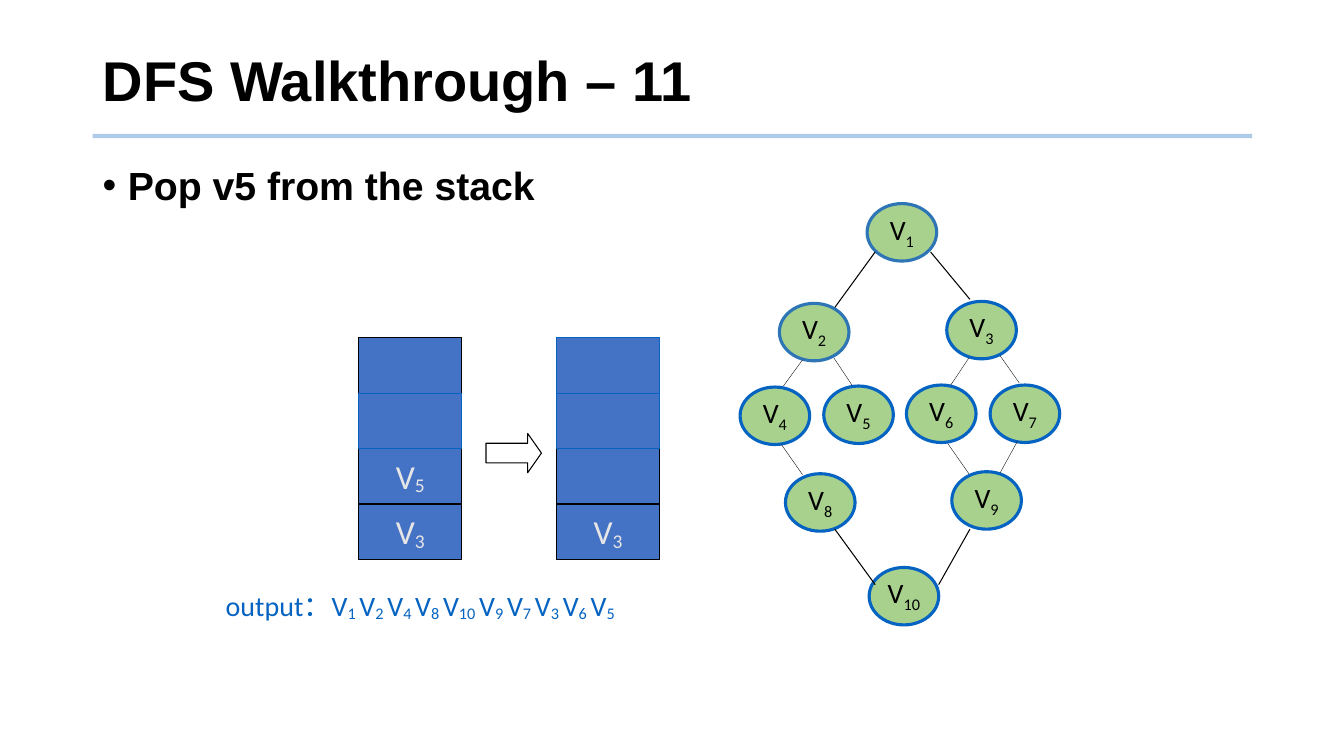
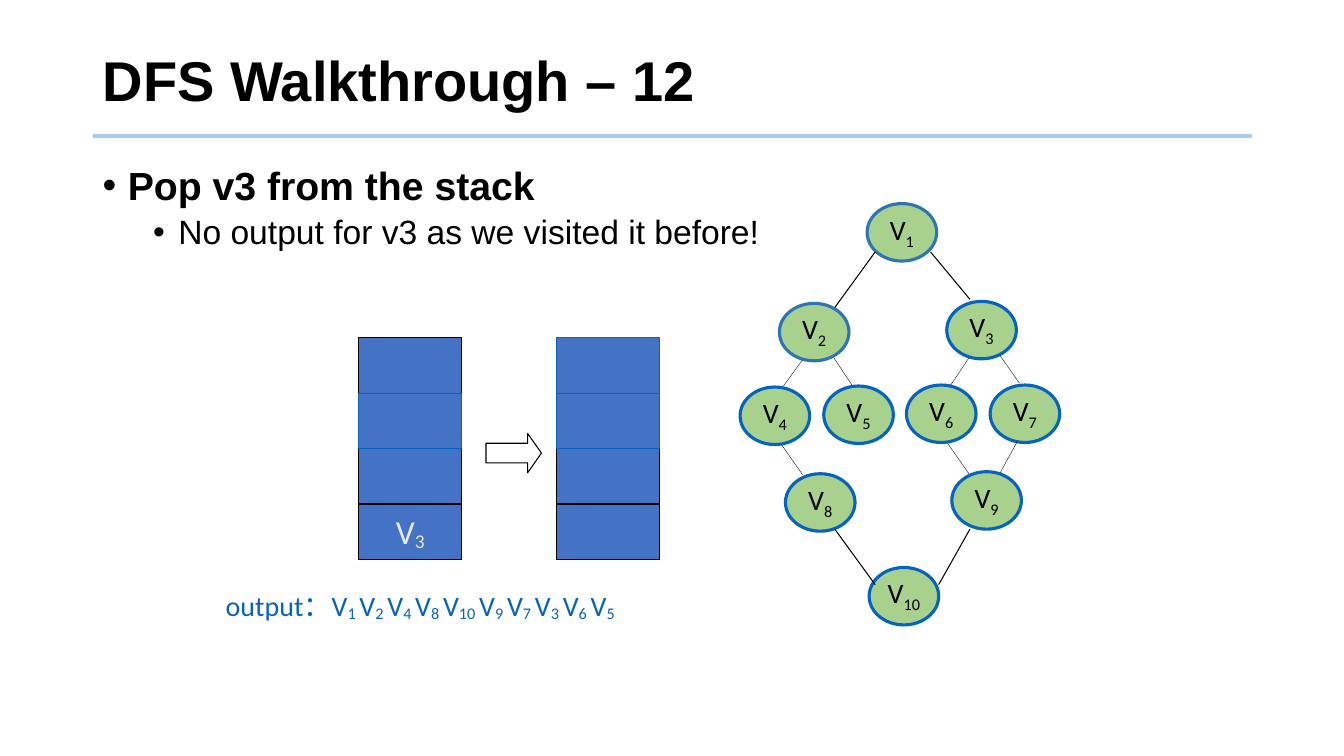
"""Build two slides that walk through a depth-first search with its stack."""
import dataclasses
import typing

import lxml.etree
import pptx
import pptx.dml.color
import pptx.enum.shapes
import pptx.enum.text
import pptx.oxml.ns
import pptx.util

Inches = pptx.util.Inches
Pt = pptx.util.Pt
qn = pptx.oxml.ns.qn
Forms = pptx.enum.shapes.MSO_SHAPE
Anchor = pptx.enum.text.MSO_ANCHOR
Align = pptx.enum.text.PP_ALIGN
Fit = pptx.enum.text.MSO_AUTO_SIZE


@dataclasses.dataclass(frozen=True)
class Theme:
    ink: str = "000000"
    rule: str = "5B9BD5"
    node: str = "A9D18E"
    rim: str = "0563C1"
    root: str = "2E75B6"
    cell: str = "4472C4"
    pale: str = "E7E6E6"
    head: str = "Arial"
    text: str = "Calibri"
    title: int = 40
    point: int = 28
    sub: int = 24
    stack: int = 24
    label: int = 20


class Node(typing.NamedTuple):
    key: str
    left: float
    top: float
    rim: str


class Edge(typing.NamedTuple):
    x1: float
    y1: float
    x2: float
    y2: float
    width: float


class Point(typing.NamedTuple):
    text: str
    level: int = 0


class Step(typing.NamedTuple):
    title: str
    points: tuple[Point, ...]
    before: tuple[str, ...]
    after: tuple[str, ...]


THEME = Theme()
THIN, FINE = 0.25, 0.75
LEFT, WIDE = 0.92, 11.5
NODE_W, NODE_H = 0.69, 0.57
CELL_W, CELL_H, STACK_TOP = 1.02, 0.55, 3.35
OLD_X, NEW_X = 3.56, 5.52
ORDER = (3, 2, 0, 1)
VISITS = ("1", "2", "4", "8", "10", "9", "7", "3", "6", "5")

NODES = (
    Node("1", 8.6, 2.02, THEME.root),
    Node("2", 7.73, 3.01, THEME.root),
    Node("3", 9.39, 2.99, THEME.rim),
    Node("4", 7.34, 3.84, THEME.rim),
    Node("5", 8.17, 3.83, THEME.rim),
    Node("6", 8.99, 3.82, THEME.rim),
    Node("7", 9.82, 3.82, THEME.rim),
    Node("8", 7.79, 4.7, THEME.rim),
    Node("9", 9.44, 4.68, THEME.rim),
    Node("10", 8.62, 5.63, THEME.rim),
)

EDGES = (
    Edge(8.68, 2.5, 8.28, 3.05, FINE),
    Edge(9.23, 2.5, 9.62, 2.97, FINE),
    Edge(7.96, 3.57, 7.77, 3.83, THIN),
    Edge(8.27, 3.55, 8.45, 3.82, THIN),
    Edge(9.61, 3.55, 9.43, 3.82, THIN),
    Edge(9.92, 3.53, 10.11, 3.8, THIN),
    Edge(7.75, 4.41, 7.96, 4.71, THIN),
    Edge(9.4, 4.4, 9.61, 4.7, THIN),
    Edge(10.09, 4.38, 9.92, 4.69, THIN),
    Edge(8.28, 5.25, 8.68, 5.8, FINE),
    Edge(9.62, 5.25, 9.31, 5.8, FINE),
)

STEPS = (
    Step("DFS Walkthrough – 11", (Point("Pop v5 from the stack"),),
         ("", "", "5", "3"), ("", "", "", "3")),
    Step("DFS Walkthrough – 12",
         (Point("Pop v3 from the stack"),
          Point("No output for v3 as we visited it before!", 1)),
         ("", "", "", "3"), ("", "", "", "")),
)


def tint(code: str) -> pptx.dml.color.RGBColor:
    return pptx.dml.color.RGBColor.from_string(code)


def style(para, face: str, size: int, color: str, bold: bool = False) -> None:
    font = para.font
    font.name, font.size, font.bold = face, Pt(size), bold
    font.color.rgb = tint(color)


def vertex(para, key: str, drop: int, tail: str = "") -> None:
    para.add_run().text = "V"
    run = para.add_run()
    run.text = key + tail
    run._r.get_or_add_rPr().set("baseline", str(-1000 * drop))


def shape(slide, form, left: float, top: float, width: float, height: float,
          fill: str | None, edge: str, weight: float):
    item = slide.shapes.add_shape(
        form, Inches(left), Inches(top), Inches(width), Inches(height))
    item.shadow.inherit = False
    if fill:
        item.fill.solid()
        item.fill.fore_color.rgb = tint(fill)
    else:
        item.fill.background()
    item.line.color.rgb = tint(edge)
    item.line.width = Pt(weight)
    return item


def draw_line(slide, edge: Edge, color: str = THEME.ink):
    item = slide.shapes.add_connector(
        pptx.enum.shapes.MSO_CONNECTOR.STRAIGHT,
        Inches(edge.x1), Inches(edge.y1), Inches(edge.x2), Inches(edge.y2))
    item.line.color.rgb = tint(color)
    item.line.width = Pt(edge.width)
    lxml.etree.SubElement(item.element.spPr, qn("a:effectLst"))
    return item


def draw_rule(slide) -> None:
    item = draw_line(slide, Edge(LEFT, 1.35, LEFT + WIDE, 1.35, 3), THEME.rule)
    color = item.element.find(".//" + qn("a:srgbClr"))
    lxml.etree.SubElement(color, qn("a:alpha"), val="50000")


def draw_title(slide, text: str) -> None:
    title = slide.shapes.title
    title.left, title.top = Inches(LEFT), Inches(0.28)
    title.width, title.height = Inches(WIDE), Inches(1.1)
    frame = title.text_frame
    frame.text = text
    frame.auto_size = Fit.NONE
    frame.vertical_anchor = Anchor.MIDDLE
    para = frame.paragraphs[0]
    para.alignment = Align.LEFT
    para.line_spacing = 0.9
    style(para, THEME.head, THEME.title, THEME.ink, True)


def draw_points(slide, points: tuple[Point, ...]) -> None:
    box = slide.shapes.add_textbox(
        Inches(LEFT), Inches(1.6), Inches(WIDE), Inches(0.91))
    frame = box.text_frame
    frame.word_wrap = True
    for index, point in enumerate(points):
        para = frame.add_paragraph() if index else frame.paragraphs[0]
        para.text = point.text
        para.level = point.level
        props = para._p.get_or_add_pPr()
        props.set("marL", str(Inches(0.25 + 0.5 * point.level)))
        props.set("indent", str(Inches(-0.25)))
        lxml.etree.SubElement(props, qn("a:buFont"), typeface=THEME.head)
        lxml.etree.SubElement(props, qn("a:buChar"), char="•")
        para.line_spacing = 0.9
        para.space_before = Pt(5 if point.level else 10)
        size = THEME.sub if point.level else THEME.point
        style(para, THEME.head, size, THEME.ink, point.level == 0)


def draw_node(slide, node: Node) -> None:
    item = shape(slide, Forms.OVAL, node.left, node.top, NODE_W, NODE_H,
                 THEME.node, node.rim, 2.25)
    frame = item.text_frame
    frame.margin_left = frame.margin_right = 0
    frame.margin_top = frame.margin_bottom = 0
    frame.vertical_anchor = Anchor.TOP
    para = frame.paragraphs[0]
    para.alignment = Align.CENTER
    para.line_spacing = 0.96
    style(para, THEME.text, THEME.label, THEME.ink)
    vertex(para, node.key, 25)


def draw_stack(slide, left: float, keys: tuple[str, ...],
               rims: tuple[str, ...]) -> None:
    for row in ORDER:
        item = shape(slide, Forms.RECTANGLE, left, STACK_TOP + row * CELL_H,
                     CELL_W, CELL_H, THEME.cell, rims[row], FINE)
        if keys[row]:
            frame = item.text_frame
            frame.word_wrap = False
            frame.vertical_anchor = Anchor.MIDDLE
            para = frame.paragraphs[0]
            para.alignment = Align.CENTER
            style(para, THEME.text, THEME.stack, THEME.pale)
            vertex(para, keys[row], 10)


def draw_visits(slide) -> None:
    box = slide.shapes.add_textbox(
        Inches(2.14), Inches(5.79), Inches(5.35), Inches(0.44))
    frame = box.text_frame
    frame.word_wrap = True
    frame.auto_size = Fit.SHAPE_TO_FIT_TEXT
    para = frame.paragraphs[0]
    style(para, THEME.text, THEME.label, THEME.rim)
    para.add_run().text = "output："
    for key in VISITS:
        vertex(para, key, 10, "" if key == VISITS[-1] else " ")


def draw_step(deck, step: Step) -> None:
    slide = deck.slides.add_slide(deck.slide_layouts[5])
    draw_rule(slide)
    draw_title(slide, step.title)
    draw_points(slide, step.points)
    for node in NODES:
        draw_node(slide, node)
    for edge in EDGES:
        draw_line(slide, edge)
    ink, rim = THEME.ink, THEME.rim
    draw_stack(slide, OLD_X, step.before, (ink, rim, ink, ink))
    draw_stack(slide, NEW_X, step.after, (rim, rim, ink, ink))
    arrow = shape(slide, Forms.RIGHT_ARROW, 4.82, 4.3, 0.55, 0.39,
                  None, ink, FINE)
    arrow.adjustments[0], arrow.adjustments[1] = 0.5, 0.35
    draw_visits(slide)


def main() -> None:
    deck = pptx.Presentation()
    deck.slide_width, deck.slide_height = Inches(13.33), Inches(7.5)
    for step in STEPS:
        draw_step(deck, step)
    deck.save("out.pptx")


if __name__ == "__main__":
    main()
